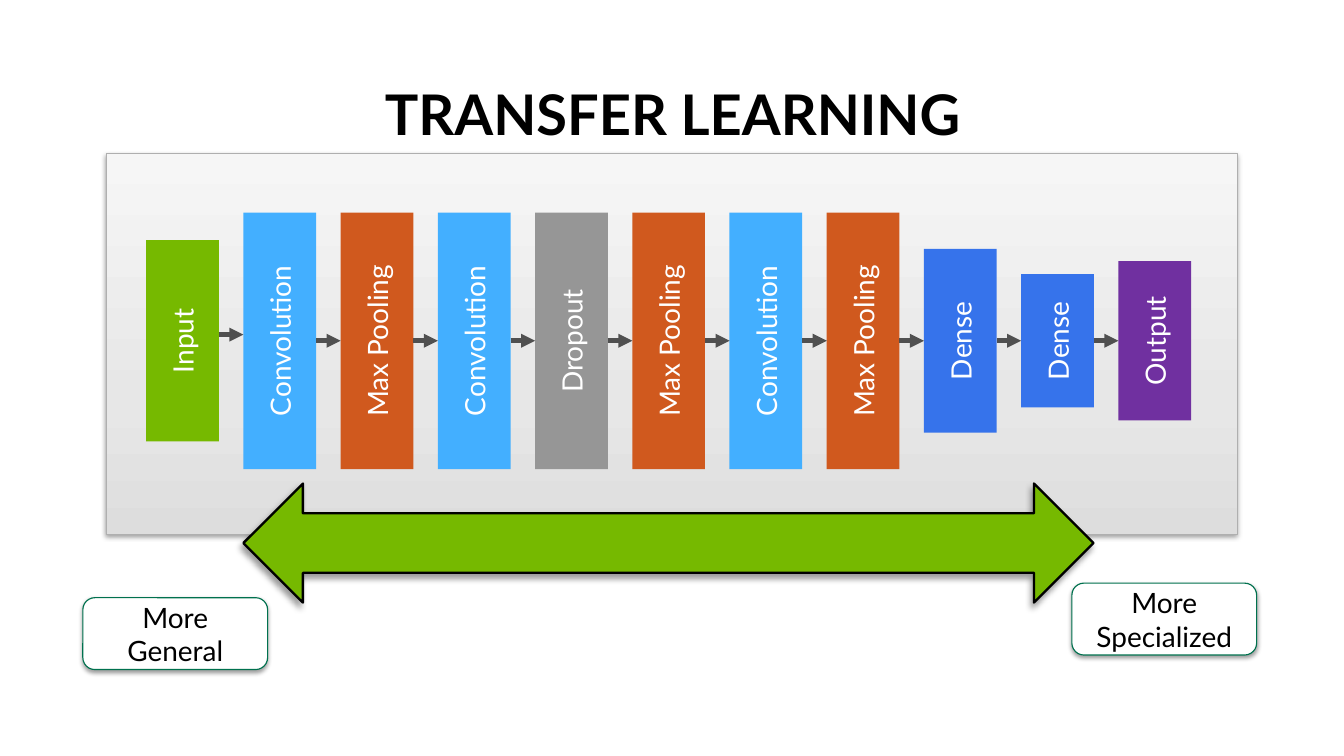
import copy
from dataclasses import dataclass

import pptx
import pptx.dml.color
import pptx.enum.shapes
import pptx.enum.text
import pptx.oxml
import pptx.oxml.ns
import pptx.util
from pptx.util import Cm

RGB = pptx.dml.color.RGBColor.from_string
SHAPE = pptx.enum.shapes.MSO_SHAPE
NS = pptx.oxml.ns.nsdecls("a")


@dataclass(frozen=True)
class Theme:
    font: str = "Lato"
    title_size: int = 36
    label_size: int = 18
    black: str = "000000"
    white: str = "FFFFFF"
    green: str = "76B900"
    blue: str = "43AFFF"
    orange: str = "D0591E"
    gray: str = "969696"
    royal: str = "3673EB"
    purple: str = "7030A0"
    arrow: str = "505050"
    panel: tuple = ("DDDDDD", "E7E7E7", "F6F6F6")
    panel_line: str = "AFAFAF"
    label_line: str = "00714E"


theme = Theme()


def add_box(shapes, kind, x, y, w, h, fill, line=None, line_width=0.75, shadow=None,
            text=None, color=theme.white):
    """Add a shape; lengths in cm, shadow as (alpha %, blur pt, distance pt, degrees)."""
    sp = shapes.add_shape(kind, Cm(x), Cm(y), Cm(w), Cm(h))
    sp.fill.solid()
    sp.fill.fore_color.rgb = RGB(fill)
    if line:
        sp.line.color.rgb = RGB(line)
        sp.line.width = pptx.util.Pt(line_width)
    else:
        sp.line.fill.background()
    sp.shadow.inherit = False
    if shadow:
        alpha, blur, dist, angle = shadow
        effects = sp._element.spPr.find(pptx.oxml.ns.qn("a:effectLst"))
        effects.append(pptx.oxml.parse_xml(
            f'<a:outerShdw {NS} blurRad="{round(blur * 12700)}" dist="{round(dist * 12700)}" '
            f'dir="{angle * 60000}" algn="ctr" rotWithShape="0"><a:srgbClr val="{theme.black}">'
            f'<a:alpha val="{alpha * 1000}"/></a:srgbClr></a:outerShdw>'))
    if text:
        tf = sp.text_frame
        tf.word_wrap = True
        tf.vertical_anchor = pptx.enum.text.MSO_ANCHOR.MIDDLE
        set_text(tf, text, theme.label_size, color)
    return sp


def set_text(tf, text, size, color, bold=False):
    """Write one centred paragraph."""
    tf.text = text
    p = tf.paragraphs[0]
    p.alignment = pptx.enum.text.PP_ALIGN.CENTER
    p.font.name = theme.font
    p.font.size = pptx.util.Pt(size)
    p.font.bold = bold
    p.font.color.rgb = RGB(color)
    return p


prs = pptx.Presentation()
prs.slide_width, prs.slide_height = Cm(30.48), Cm(17.15)
s = prs.slides.add_slide(prs.slide_layouts[5])

# Title
title = s.shapes.title
title.left, title.top, title.width, title.height = Cm(1.4), Cm(1.83), Cm(27.71), Cm(1.65)
tf = title.text_frame
tf.auto_size = pptx.enum.text.MSO_AUTO_SIZE.NONE
tf.vertical_anchor = pptx.enum.text.MSO_ANCHOR.BOTTOM
p = set_text(tf, "TRANSFER LEARNING", theme.title_size, theme.black, bold=True)
p.line_spacing = 0.9

# Network panel with a three-stop gradient, darkest at the bottom
soft_shadow = (38, 3.1, 1.6, 90)
network = s.shapes.add_group_shape().shapes
panel = add_box(network, SHAPE.RECTANGLE, 2.41, 3.48, 25.65, 8.64, theme.white,
                theme.panel_line, shadow=soft_shadow)
panel.fill.gradient()
panel.fill.gradient_angle = 90
stops = panel._element.spPr.find(".//" + pptx.oxml.ns.qn("a:gsLst"))
stops.insert(1, copy.deepcopy(stops[0]))
for stop, position, color in zip(panel.fill.gradient_stops, (0, 0.35, 1), theme.panel):
    stop.position = position
    stop.color.rgb = RGB(color)

# Layers: upright bars at an even pitch, with text running upwards
conv = ("Convolution", 5.82, theme.blue)
pool = ("Max Pooling", 5.82, theme.orange)
layers = [
    ("Input", 4.57, theme.green),
    conv, pool, conv,
    ("Dropout", 5.82, theme.gray),
    pool, conv, pool,
    ("Dense", 4.17, theme.royal),
    ("Dense", 3.02, theme.royal),
    ("Output", 3.61, theme.purple),
]
first_x, last_x, mid_y, bar = 4.14, 26.19, 7.73, 1.65
pitch = (last_x - first_x) / (len(layers) - 1)
centers = [first_x + i * pitch for i in range(len(layers))]
for x, (name, length, color) in zip(centers, layers):
    sp = add_box(network, SHAPE.RECTANGLE, x - length / 2, mid_y - bar / 2, length, bar,
                 color, text=name)
    sp.rotation = 270

# Arrows between neighbouring layers; the first sits slightly higher
for i, (x1, x2) in enumerate(zip(centers, centers[1:])):
    y = Cm(7.59 if i == 0 else mid_y)
    arrow = network.add_connector(pptx.enum.shapes.MSO_CONNECTOR.STRAIGHT,
                                  Cm(x1 + bar / 2), y, Cm(x2 - bar / 2), y)
    arrow.line.color.rgb = RGB(theme.arrow)
    arrow.line.width = pptx.util.Pt(3)
    arrow.line._get_or_add_ln().append(pptx.oxml.parse_xml(f'<a:tailEnd {NS} type="triangle"/>'))
    arrow._element.spPr.append(pptx.oxml.parse_xml(f"<a:effectLst {NS}/>"))

# General-to-specialized scale
add_box(s.shapes, SHAPE.LEFT_RIGHT_ARROW, 5.52, 10.97, 19.28, 2.7, theme.green,
        theme.black, 1.5, shadow=(40, 4, 3, 135))
for text, x, y in (("More General", 1.88, 13.56), ("More Specialized", 24.31, 13.23)):
    add_box(s.shapes, SHAPE.ROUNDED_RECTANGLE, x, y, 4.19, 1.63, theme.white,
            theme.label_line, shadow=soft_shadow, text=text, color=theme.black)

prs.save("out.pptx")
